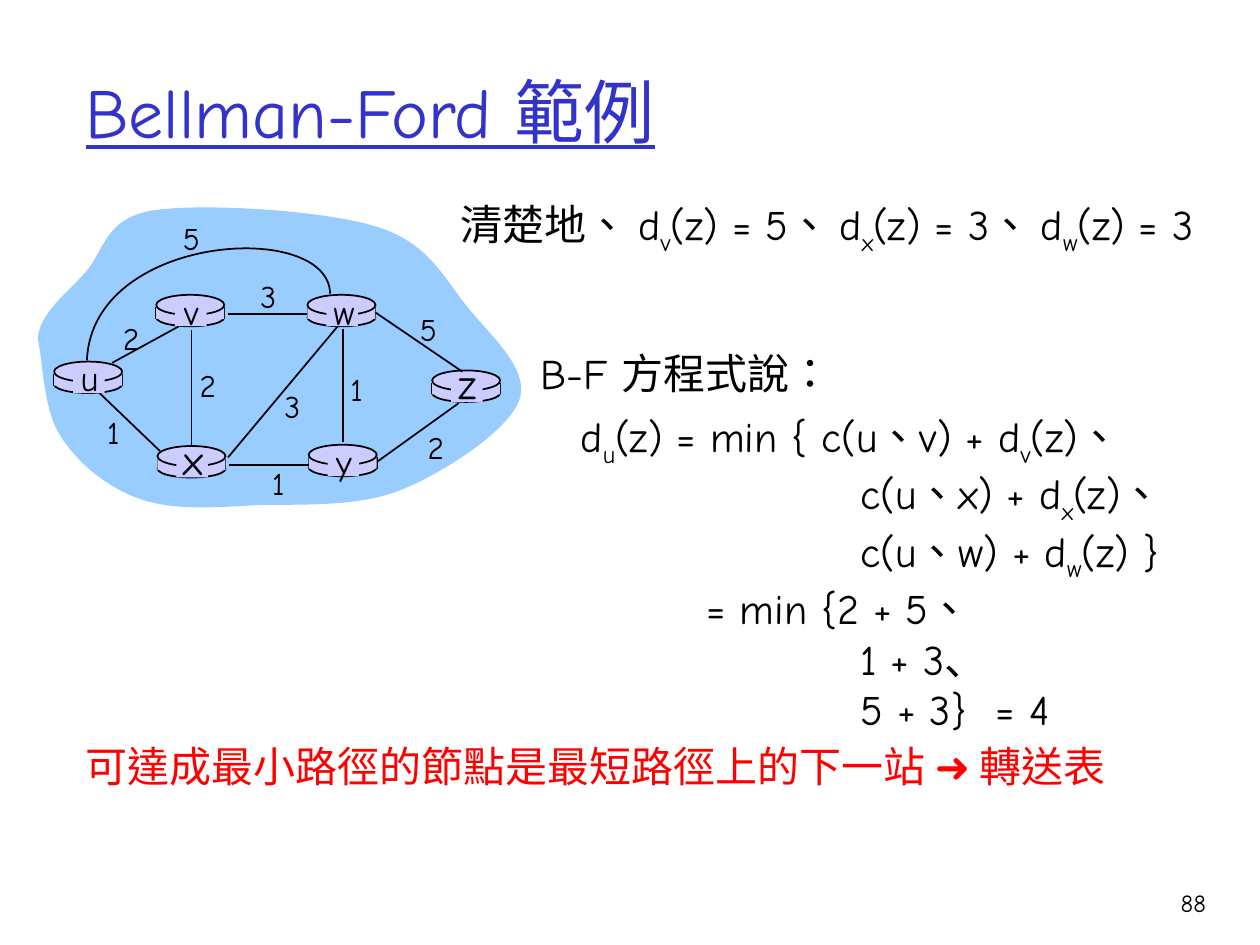
"""Builds the Bellman-Ford example slide with its router network and equations."""
from dataclasses import dataclass
from typing import Any, Optional

import pptx
import pptx.dml.color
import pptx.enum.shapes
import pptx.enum.text
import pptx.oxml.ns
import pptx.util
from lxml import etree
from pptx.util import Inches

RGBColor = pptx.dml.color.RGBColor
SHAPE = pptx.enum.shapes.MSO_SHAPE
ALIGN = pptx.enum.text.PP_ALIGN
qn = pptx.oxml.ns.qn

BLACK = RGBColor(0x00, 0x00, 0x00)
RED = RGBColor(0xFF, 0x00, 0x00)
TITLE_BLUE = RGBColor(0x33, 0x33, 0xCC)
CLOUD_BLUE = RGBColor(0x99, 0xCC, 0xFF)
ROUTER_LILAC = RGBColor(0xCC, 0xCC, 0xFF)
FONT = "Comic Neue"
ARROW_FONT = "Noto Sans CJK JP"
ROUTER_W = 0.54

Point = tuple[float, float]


@dataclass
class Router:
    name: str
    x: float
    y: float
    size: int = 20


@dataclass
class Edge:
    start: Point
    end: Point
    weight: str
    label: Point


@dataclass
class Term:
    text: str
    indent: float
    lang: str = "zh-TW"


ROUTERS = [
    Router("u", 0.43, 2.87),
    Router("x", 1.25, 3.54, 24),
    Router("v", 1.24, 2.34),
    Router("w", 2.44, 2.34),
    Router("y", 2.45, 3.53),
    Router("z", 3.43, 2.94, 24),
]
EDGES = [
    Edge((0.89, 2.88), (1.42, 2.59), "2", (1.04, 2.68)),
    Edge((1.52, 2.62), (1.52, 3.55), "2", (1.65, 3.06)),
    Edge((1.27, 3.58), (0.79, 3.12), "1", (0.9, 3.43)),
    Edge((1.81, 3.63), (2.68, 2.59), "3", (2.32, 3.22)),
    Edge((2.45, 3.69), (1.82, 3.69), "1", (2.21, 3.83)),
    Edge((2.72, 2.61), (2.72, 3.51), "1", (2.83, 3.09)),
    Edge((3, 3.66), (3.64, 3.2), "2", (3.46, 3.55)),
    Edge((3.67, 2.95), (2.98, 2.48), "5", (3.4, 2.61)),
    Edge((2.44, 2.49), (1.81, 2.49), "3", (2.13, 2.35)),
]
CLOUD = [
    (0.3, 2.69), (0.31, 2.49), (0.53, 2.33), (0.68, 2.16),
    (0.83, 1.99), (0.83, 1.73), (1.22, 1.67),
    (1.61, 1.61), (2.58, 1.67), (2.99, 1.8),
    (3.41, 1.93), (3.53, 2.22), (3.72, 2.45),
    (3.91, 2.68), (4.21, 2.94), (4.12, 3.18),
    (4.03, 3.42), (3.53, 3.75), (3.18, 3.89),
    (2.83, 4.03), (2.37, 4), (2.03, 4.01),
    (1.68, 4.03), (1.37, 4.05), (1.11, 3.96),
    (0.85, 3.87), (0.61, 3.67), (0.48, 3.46),
    (0.34, 3.25), (0.34, 2.85), (0.3, 2.69),
]
ARC = [(2.62, 2.33), (2.61, 1.74), (0.73, 1.85), (0.69, 2.86)]
EQUATION = [
    Term("d_u(z) = min { c(u、v) + d_v(z)、", 0),
    Term("c(u、x) + d_x(z)、", 2.22),
    Term("c(u、w) + d_w(z) }", 2.22),
    Term("= min {2 + 5、", 1),
    Term("1 + 3、", 2.22, "ja-JP"),
    Term("5 + 3}", 2.22),
]


def style_run(r: Any, size: int, color: RGBColor, font: str = FONT,
              east: Optional[str] = FONT, lang: str = "zh-TW") -> None:
    r.font.size = pptx.util.Pt(size)
    r.font.color.rgb = color
    r.font.name = font
    rPr = r._r.get_or_add_rPr()
    rPr.set("lang", lang)
    if east:
        etree.SubElement(rPr, qn("a:ea")).set("typeface", east)


def add_runs(p: Any, text: str, size: int, color: RGBColor, **style: Any) -> None:
    head, *rest = text.split("_")
    pieces = [(head, False)]
    for part in rest:
        pieces += [(part[0], True), (part[1:], False)]
    for piece, subscript in pieces:
        r = p.add_run()
        r.text = piece
        style_run(r, size, color, **style)
        if subscript:
            r._r.get_or_add_rPr().set("baseline", "-25000")


def add_text(s: Any, box: tuple, text: str, size: int, color: RGBColor = BLACK,
             align: Any = ALIGN.LEFT, **style: Any) -> Any:
    tf = s.shapes.add_textbox(*map(Inches, box)).text_frame
    tf.word_wrap = False
    tf.auto_size = pptx.enum.text.MSO_AUTO_SIZE.SHAPE_TO_FIT_TEXT
    p = tf.paragraphs[0]
    p.alignment = align
    add_runs(p, text, size, color, **style)
    return tf


def add_label(s: Any, center: Point, text: str, size: int) -> None:
    w, h = 0.34, size / 60 + 0.1
    box = (center[0] - w / 2, center[1] - h / 2, w, h)
    add_text(s, box, text, size, align=ALIGN.CENTER)


def style_line(line: Any) -> None:
    line.color.rgb = BLACK
    line.width = pptx.util.Pt(1)


def add_line(s: Any, start: Point, end: Point) -> None:
    kind = pptx.enum.shapes.MSO_CONNECTOR.STRAIGHT
    c = s.shapes.add_connector(kind, *map(Inches, start + end))
    style_line(c.line)
    etree.SubElement(c._element.spPr, qn("a:effectLst"))


def add_filled(s: Any, kind: Any, box: tuple) -> None:
    sp = s.shapes.add_shape(kind, *map(Inches, box))
    sp.shadow.inherit = False
    sp.fill.solid()
    sp.fill.fore_color.rgb = ROUTER_LILAC
    if kind == SHAPE.OVAL:
        style_line(sp.line)
    else:
        sp.line.fill.background()


def add_curve(s: Any, points: list[Point], close: bool) -> Any:
    emu = [(Inches(x), Inches(y)) for x, y in points]
    builder = s.shapes.build_freeform(*emu[0])
    builder.add_line_segments(emu[1:], close=close)
    sp = builder.convert_to_shape()
    sp.shadow.inherit = False
    segments = list(sp._element.iter(qn("a:lnTo")))
    for i in range(0, len(segments) - 2, 3):
        curve = etree.Element(qn("a:cubicBezTo"))
        segments[i].addprevious(curve)
        for segment in segments[i:i + 3]:
            curve.append(segment[0])
            segment.getparent().remove(segment)
    return sp


def add_router(s: Any, router: Router) -> None:
    x, y = router.x, router.y
    add_filled(s, SHAPE.OVAL, (x, y + 0.11, ROUTER_W, 0.14))
    for side in (x, x + ROUTER_W):
        add_line(s, (side, y + 0.1), (side, y + 0.19))
    add_filled(s, SHAPE.RECTANGLE, (x, y + 0.1, ROUTER_W, 0.09))
    add_filled(s, SHAPE.OVAL, (x, y, ROUTER_W, 0.16))


def add_equation(s: Any) -> None:
    tf = add_text(s, (4.51, 3.21, 5.06, 2.67), EQUATION[0].text, 24)
    for term in EQUATION[1:]:
        p = tf.add_paragraph()
        p._p.get_or_add_pPr().set("marL", str(Inches(term.indent)))
        add_runs(p, term.text, 24, BLACK, lang=term.lang)
    add_runs(p, " ", 24, BLACK)
    p.runs[-1]._r.get_or_add_rPr().set("spc", "860")
    add_runs(p, "= 4", 24, BLACK)


def main() -> None:
    prs = pptx.Presentation()
    prs.slide_width, prs.slide_height = Inches(10), Inches(7.5)
    s = prs.slides.add_slide(prs.slide_layouts[5])

    title = s.shapes.title
    title.left, title.top, title.width, title.height = map(Inches, (0.58, 0.25, 8.5, 1.25))
    tf = title.text_frame
    tf.text = "Bellman-Ford 範例"
    tf.vertical_anchor = pptx.enum.text.MSO_ANCHOR.MIDDLE
    tf.paragraphs[0].alignment = ALIGN.LEFT
    r = tf.paragraphs[0].runs[0]
    style_run(r, 40, TITLE_BLUE)
    r.font.underline = True

    cloud = add_curve(s, CLOUD, True)
    cloud.fill.solid()
    cloud.fill.fore_color.rgb = CLOUD_BLUE
    cloud.line.fill.background()
    for router in ROUTERS:
        add_router(s, router)
    for edge in EDGES:
        add_line(s, edge.start, edge.end)
    arc = add_curve(s, ARC, False)
    arc.fill.background()
    style_line(arc.line)
    for router in ROUTERS:
        add_filled(s, SHAPE.RECTANGLE, (router.x + 0.15, router.y + 0.02, 0.25, 0.23))
        drop = 0.13 if router.size == 20 else 0.1
        add_label(s, (router.x + 0.28, router.y + drop), router.name, router.size)
    for edge in EDGES:
        add_label(s, edge.label, edge.weight, 18)
    add_label(s, (1.52, 1.89), "5", 18)

    add_text(s, (3.56, 1.53, 6.6, 0.56), "清楚地、 d_v(z) = 5、 d_x(z) = 3、 d_w(z) = 3", 24, east=None)
    add_equation(s)
    tf = add_text(s, (0.58, 5.83, 8.5, 0.5), "可達成最小路徑的節點是最短路徑上的下一站 ", 24, RED, east=None)
    add_runs(tf.paragraphs[0], "➜ ", 24, RED, font=ARROW_FONT, east=ARROW_FONT)
    add_runs(tf.paragraphs[0], "轉送表", 24, RED)
    add_text(s, (4.19, 2.71, 2.59, 0.5), "B-F 方程式說：", 24)
    add_text(s, (8.93, 7, 0.74, 0.5), "88", 14, align=ALIGN.RIGHT).word_wrap = True
    prs.save("out.pptx")


if __name__ == "__main__":
    main()
